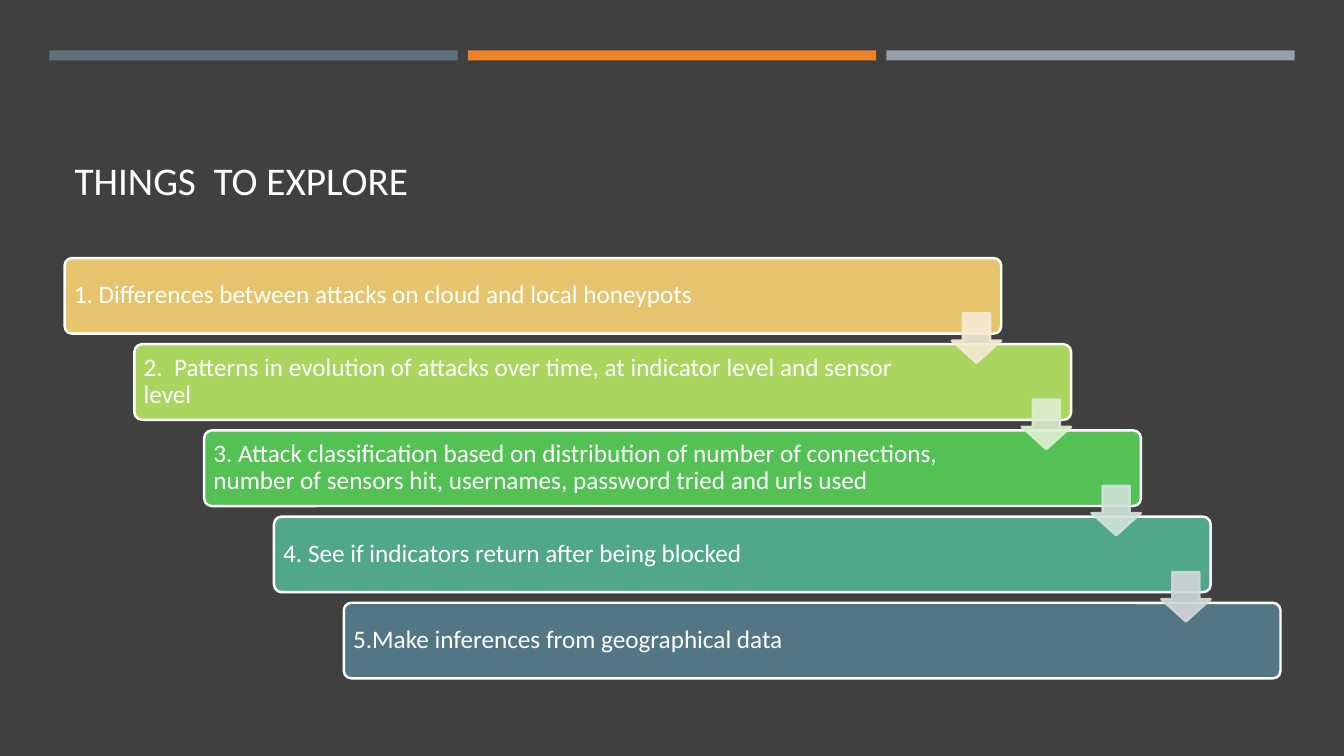
import pptx
import pptx.util
import pptx.dml.color
import pptx.enum.shapes
import pptx.enum.text
import lxml.etree

RGBColor = pptx.dml.color.RGBColor
MSO_SHAPE = pptx.enum.shapes.MSO_SHAPE
ALIGN = pptx.enum.text.PP_ALIGN
ANCHOR = pptx.enum.text.MSO_ANCHOR
Inches = pptx.util.Inches
Pt = pptx.util.Pt

WHITE = RGBColor(0xFF, 0xFF, 0xFF)
CHARCOAL = RGBColor(0x40, 0x40, 0x40)
SLATE = RGBColor(0x60, 0x72, 0x7A)
ORANGE = RGBColor(0xED, 0x84, 0x28)
GREY = RGBColor(0x96, 0x9F, 0xA7)
GOLD = RGBColor(0xE6, 0xC4, 0x6D)
LIME = RGBColor(0xAA, 0xD5, 0x5F)
GREEN = RGBColor(0x54, 0xC1, 0x55)
TEAL = RGBColor(0x50, 0xA7, 0x89)
BLUE = RGBColor(0x53, 0x76, 0x85)
PALE_GOLD = RGBColor(0xF5, 0xEA, 0xD4)
PALE_LIME = RGBColor(0xDE, 0xEE, 0xD1)
PALE_GREEN = RGBColor(0xD0, 0xE4, 0xD9)
PALE_BLUE = RGBColor(0xD1, 0xD6, 0xD9)

FONT = "Calibri"
TITLE = "THINGS  TO EXPLORE"
STRIPES = [SLATE, ORANGE, GREY]
STEPS = [
    ("1. Differences between attacks on cloud and local honeypots", GOLD),
    ("2.  Patterns in evolution of attacks over time, at indicator level and sensor level", LIME),
    ("3. Attack classification based on distribution of number of connections, "
     "number of sensors hit, usernames, password tried and urls used", GREEN),
    ("4. See if indicators return after being blocked", TEAL),
    ("5.Make inferences from geographical data", BLUE),
]
ARROWS = [PALE_GOLD, PALE_LIME, PALE_GREEN, PALE_BLUE]

STRIPE_LEFT, STRIPE_TOP, STRIPE_W, STRIPE_H, STRIPE_GAP = 0.49, 0.5, 4.05, 0.1, 0.1
STAIR_LEFT, STAIR_TOP, STAIR_W, STAIR_H = 0.64, 2.56, 12.06, 4.17
BAR_W, BAR_H = 9.29, 0.75
STEP_X = (STAIR_W - BAR_W) / (len(STEPS) - 1)
STEP_Y = (STAIR_H - BAR_H) / (len(STEPS) - 1)
ARROW, ARROW_DROP = 0.49, 0.55


def add_block(kind, left, top, width, height, fill, line=None, adjustments=()):
    sp = slide.shapes.add_shape(kind, Inches(left), Inches(top), Inches(width), Inches(height))
    sp.shadow.inherit = False
    sp.fill.solid()
    sp.fill.fore_color.rgb = fill
    if line is None:
        sp.line.fill.background()
    else:
        sp.line.color.rgb = line
        sp.line.width = Pt(1.75)
    for i, value in enumerate(adjustments):
        sp.adjustments[i] = value
    return sp


def write(tf, text, size, anchor):
    tf.word_wrap = True
    tf.auto_size = pptx.enum.text.MSO_AUTO_SIZE.NONE
    tf.vertical_anchor = anchor
    p = tf.paragraphs[0]
    p.alignment = ALIGN.LEFT
    r = p.add_run()
    r.text = text
    r.font.name = FONT
    r.font.size = Pt(size)
    r.font.color.rgb = WHITE
    return p


def set_alpha(sp, percent):
    for color in sp.element.spPr.iter(pptx.oxml.ns.qn("a:srgbClr")):
        alpha = lxml.etree.SubElement(color, pptx.oxml.ns.qn("a:alpha"))
        alpha.set("val", str(percent * 1000))


prs = pptx.Presentation()
prs.slide_width, prs.slide_height = Inches(13.33), Inches(7.5)
slide = prs.slides.add_slide(prs.slide_layouts[5])
slide.background.fill.solid()
slide.background.fill.fore_color.rgb = CHARCOAL

title = slide.shapes.title
title.left, title.top = Inches(STAIR_LEFT), Inches(0.77)
title.width, title.height = Inches(STAIR_W), Inches(1.3)
write(title.text_frame, TITLE, 28, ANCHOR.BOTTOM)

for i, color in enumerate(STRIPES):
    left = STRIPE_LEFT + i * (STRIPE_W + STRIPE_GAP)
    add_block(MSO_SHAPE.RECTANGLE, left, STRIPE_TOP, STRIPE_W, STRIPE_H, color)

for i, (text, color) in enumerate(STEPS):
    bar = add_block(MSO_SHAPE.ROUNDED_RECTANGLE, STAIR_LEFT + i * STEP_X,
                    STAIR_TOP + i * STEP_Y, BAR_W, BAR_H, color, WHITE, [0.1])
    tf = bar.text_frame
    tf.margin_left, tf.margin_right = Inches(0.07), Inches(1.26)
    tf.margin_top = tf.margin_bottom = Inches(0.07)
    p = write(tf, text, 18, ANCHOR.MIDDLE)
    p.line_spacing = 0.9

for i, color in enumerate(ARROWS):
    arrow = add_block(MSO_SHAPE.DOWN_ARROW, STAIR_LEFT + i * STEP_X + BAR_W - ARROW,
                      STAIR_TOP + i * STEP_Y + ARROW_DROP, ARROW, ARROW, color, color,
                      [0.55, 0.45])
    set_alpha(arrow, 90)

prs.save("out.pptx")
